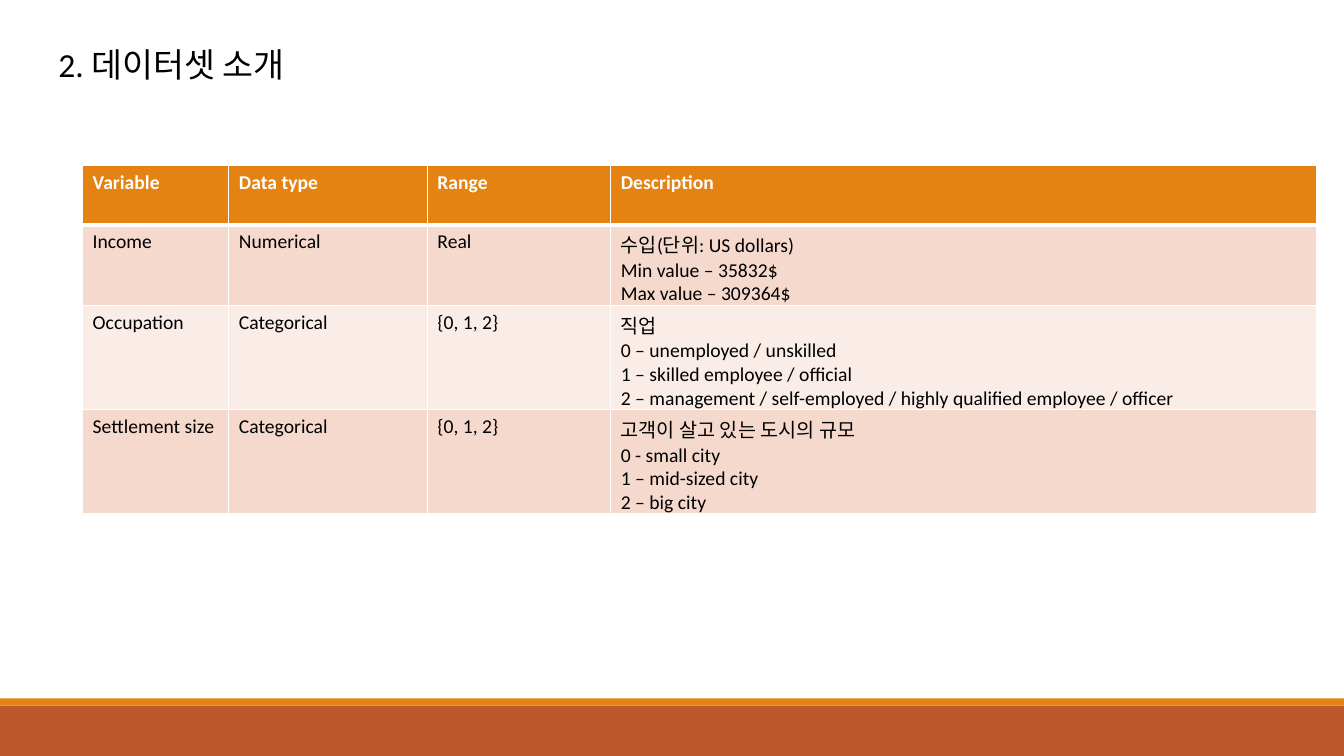
from dataclasses import dataclass

from lxml.etree import SubElement
from pptx import Presentation
from pptx.dml.color import RGBColor
from pptx.enum.shapes import MSO_SHAPE as Preset
from pptx.enum.text import MSO_AUTO_SIZE as AutoSize
from pptx.oxml.ns import qn
from pptx.slide import Slide
from pptx.table import _Cell as Cell
from pptx.text.text import TextFrame
from pptx.util import Inches, Length, Pt

GRID_COLUMNS = 160
GRID_ROWS = 90
SLIDE_WIDTH = Inches(13.33)
SLIDE_HEIGHT = Inches(7.5)

WHITE = RGBColor(0xFF, 0xFF, 0xFF)
BLACK = RGBColor(0x00, 0x00, 0x00)
ORANGE = RGBColor(0xE4, 0x83, 0x12)
RUST = RGBColor(0xBD, 0x58, 0x2C)
PEACH = RGBColor(0xF5, 0xD9, 0xCC)
PALE_PEACH = RGBColor(0xFA, 0xED, 0xE7)

FONT = "Calibri"
TITLE_SIZE = 24
TABLE_SIZE = 14
COLUMN_SPANS = (17.4, 23.64, 21.84, 84)
ROW_SPAN = 7.08
TABLE_SPAN = 41.52


@dataclass(frozen=True)
class Band:
    top: float
    rows: float
    color: RGBColor


@dataclass(frozen=True)
class Variable:
    name: str
    data_type: str
    value_range: str
    description: tuple[str, ...]

    def texts(self) -> tuple[str, ...]:
        return self.name, self.data_type, self.value_range, "\v".join(self.description)


FOOTER = (Band(84, 6, RUST), Band(83.16, 0.84, ORANGE))

VARIABLES = (
    Variable("Variable", "Data type", "Range", ("Description",)),
    Variable("Income", "Numerical", "Real", (
        "수입(단위: US dollars)",
        "Min value – 35832$",
        "Max value – 309364$",
    )),
    Variable("Occupation", "Categorical", "{0, 1, 2}", (
        "직업",
        "0 – unemployed / unskilled",
        "1 – skilled employee / official",
        "2 – management / self-employed / highly qualified employee / officer",
    )),
    Variable("Settlement size", "Categorical", "{0, 1, 2}", (
        "고객이 살고 있는 도시의 규모",
        "0 - small city",
        "1 – mid-sized city",
        "2 – big city",
    )),
)


def across(columns: float) -> Length:
    return Length(round(SLIDE_WIDTH * columns / GRID_COLUMNS))


def down(rows: float) -> Length:
    return Length(round(SLIDE_HEIGHT * rows / GRID_ROWS))


def write(frame: TextFrame, text: str, size: int, color: RGBColor, bold: bool = False) -> None:
    frame.text = text
    for para in frame.paragraphs:
        for span in para.runs:
            span.font.name = FONT
            span.font.size = Pt(size)
            span.font.bold = bold
            span.font.color.rgb = color


def draw_band(page: Slide, band: Band) -> None:
    box = page.shapes.add_shape(
        Preset.RECTANGLE, 0, down(band.top), SLIDE_WIDTH, down(band.rows))
    box.shadow.inherit = False
    box.fill.solid()
    box.fill.fore_color.rgb = band.color
    box.line.fill.background()


def draw_title(page: Slide, text: str) -> None:
    box = page.shapes.add_textbox(across(5.76), down(4.68), across(66.96), down(6))
    box.text_frame.word_wrap = True
    box.text_frame.auto_size = AutoSize.SHAPE_TO_FIT_TEXT
    write(box.text_frame, text, TITLE_SIZE, BLACK)


def draw_borders(cell: Cell, top: float, bottom: float) -> None:
    properties = cell._tc.get_or_add_tcPr()
    for side, width in (("L", 1), ("R", 1), ("T", top), ("B", bottom)):
        line = SubElement(properties, qn(f"a:ln{side}"), w=str(Pt(width)))
        fill = SubElement(line, qn("a:solidFill"))
        SubElement(fill, qn("a:srgbClr"), val=str(WHITE))


def draw_table(page: Slide, variables: tuple[Variable, ...]) -> None:
    frame = page.shapes.add_table(
        len(variables), len(COLUMN_SPANS), across(9.84), down(19.68),
        across(sum(COLUMN_SPANS)), down(TABLE_SPAN))
    table = frame.table
    for column, span in zip(table.columns, COLUMN_SPANS):
        column.width = across(span)
    for index, variable in enumerate(variables):
        table.rows[index].height = down(ROW_SPAN)
        header = index == 0
        shade = ORANGE if header else PEACH if index % 2 else PALE_PEACH
        for cell, text in zip(table.rows[index].cells, variable.texts()):
            write(cell.text_frame, text, TABLE_SIZE, WHITE if header else BLACK, header)
            draw_borders(cell, 3 if index == 1 else 1, 3 if header else 1)
            cell.fill.solid()
            cell.fill.fore_color.rgb = shade
    frame.height = down(TABLE_SPAN)


def main() -> None:
    deck = Presentation()
    deck.slide_width = SLIDE_WIDTH
    deck.slide_height = SLIDE_HEIGHT
    page = deck.slides.add_slide(deck.slide_layouts[6])
    for band in FOOTER:
        draw_band(page, band)
    draw_title(page, "2. 데이터셋 소개")
    draw_table(page, VARIABLES)
    deck.save("out.pptx")


if __name__ == "__main__":
    main()
